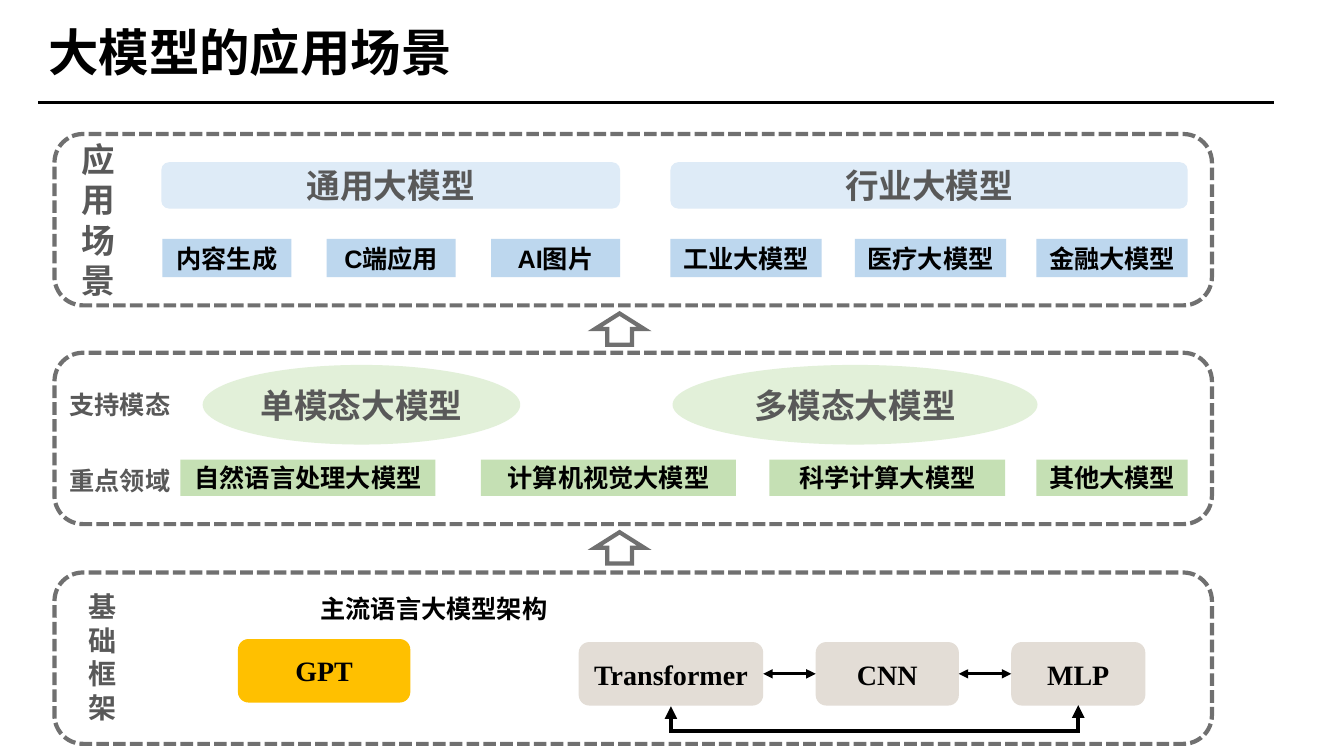
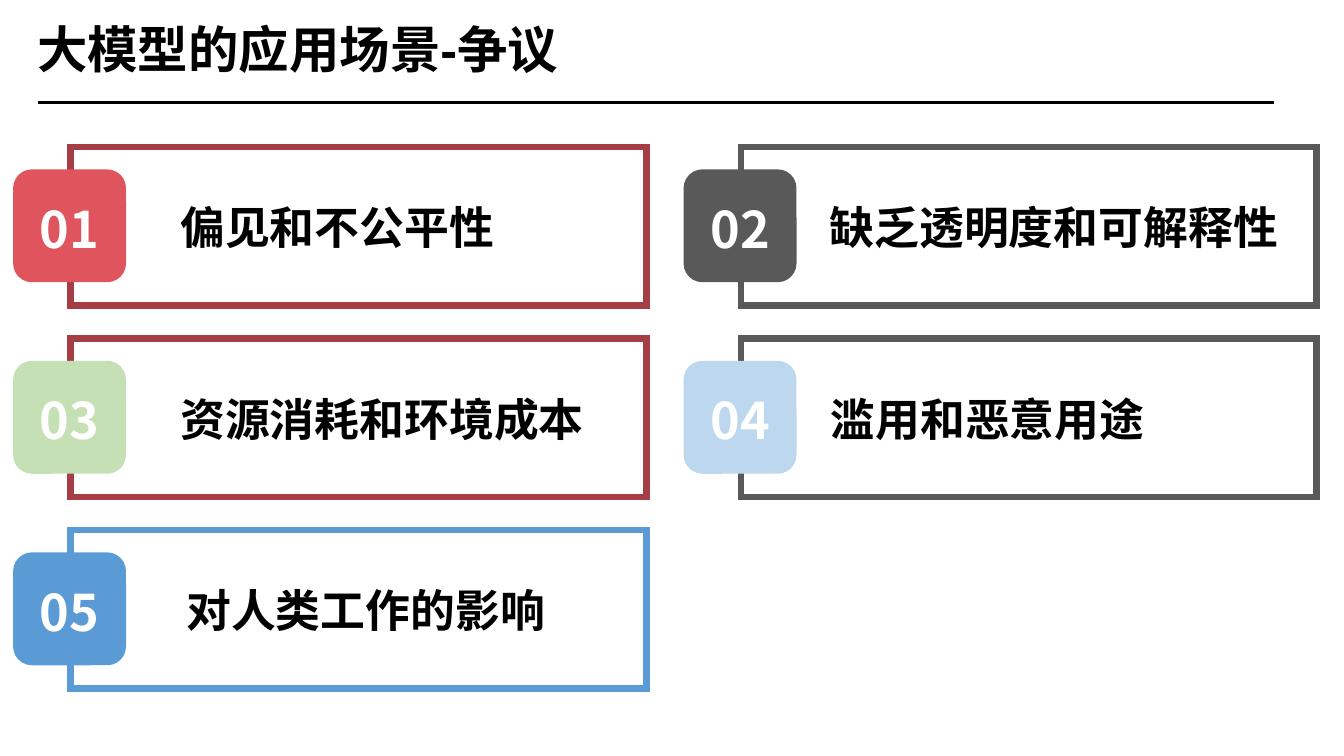
from dataclasses import dataclass
from itertools import pairwise

from lxml.etree import SubElement
from pptx import Presentation
from pptx.dml.color import RGBColor
from pptx.enum.dml import MSO_LINE
from pptx.enum.shapes import MSO_CONNECTOR, MSO_SHAPE
from pptx.enum.text import MSO_ANCHOR, PP_ALIGN
from pptx.oxml.ns import qn
from pptx.util import Pt

PX = 9144  # EMU per px, 100 px to the inch
BOTTOM, LEFT, RIGHT = 2, 1, 3  # connection sites


@dataclass(frozen=True)
class Theme:
    # Fonts
    sans: str = "Arial"
    serif: str = "Times New Roman"
    chinese: str = "Noto Sans CJK SC"
    # Colours
    black: str = "000000"
    white: str = "FFFFFF"
    grey: str = "595959"
    frame: str = "707070"
    pale_blue: str = "DEEBF7"
    light_blue: str = "BDD7EE"
    blue: str = "5B9BD5"
    pale_green: str = "E2F0D9"
    light_green: str = "C5E0B4"
    sand: str = "E3DDD6"
    gold: str = "FFC000"
    red: str = "E0545D"
    dark_red: str = "A63E45"
    # Type sizes
    title: int = 36
    card: int = 32
    heading: int = 24
    node: int = 20
    label: int = 18
    # Line widths
    rule: float = 2.25
    thick: float = 3
    border: float = 4.75


class SlideBuilder:
    def __init__(self, theme):
        self.theme = theme
        self.deck = Presentation()
        self.deck.slide_width = 1333 * PX
        self.deck.slide_height = 750 * PX
        self.page = None

    def new_page(self, title, x, y):
        """Start a page with its title and the rule below it."""
        theme = self.theme
        self.page = self.deck.slides.add_slide(self.deck.slide_layouts[6])
        self.line(38, 102, 1264, 102)
        self.text(title, x, y, 640, 71, theme.title)

    def set_text(self, box, text, size, color, font, align, anchor,
                 spacing=None, insets=(5, 5)):
        frame = box.text_frame
        frame.word_wrap = True
        frame.vertical_anchor = anchor
        frame.margin_left = frame.margin_right = 10 * PX
        frame.margin_top, frame.margin_bottom = (inset * PX for inset in insets)
        para = frame.paragraphs[0]
        para.text = text
        para.alignment = align
        if spacing:
            para.line_spacing = spacing
        para.font.size = Pt(size)
        para.font.bold = True
        para.font.name = font
        para.font.color.rgb = RGBColor.from_string(color)
        east_asian = SubElement(para.font._element, qn("a:ea"))
        east_asian.set("typeface", self.theme.chinese)

    def text(self, text, x, y, width, height, size, color=None, font=None,
             align=PP_ALIGN.LEFT, anchor=MSO_ANCHOR.TOP, **layout):
        box = self.page.shapes.add_textbox(x * PX, y * PX, width * PX, height * PX)
        self.set_text(box, text, size, color or self.theme.black,
                      font or self.theme.sans, align, anchor, **layout)

    def shape(self, kind, x, y, width, height, fill=None, line=None,
              weight=None, dash=None):
        shape = self.page.shapes.add_shape(
            kind, x * PX, y * PX, width * PX, height * PX)
        shape.shadow.inherit = False
        if fill:
            shape.fill.solid()
            shape.fill.fore_color.rgb = RGBColor.from_string(fill)
        else:
            shape.fill.background()
        if line:
            self.stroke(shape, line, weight, dash)
        else:
            shape.line.fill.background()
        return shape

    def stroke(self, shape, color, weight, dash=None):
        shape.line.color.rgb = RGBColor.from_string(color)
        shape.line.width = Pt(weight)
        if dash:
            shape.line.dash_style = dash
        outline = shape._element.spPr.find(qn("a:ln"))
        SubElement(outline, qn("a:miter")).set("lim", "800000")
        return outline

    def block(self, text, kind, x, y, width, height, fill, size,
              color=None, font=None, **layout):
        """A filled shape with centred text."""
        shape = self.shape(kind, x, y, width, height, fill)
        self.set_text(shape, text, size, color or self.theme.black,
                      font or self.theme.sans, PP_ALIGN.CENTER,
                      MSO_ANCHOR.MIDDLE, **layout)
        return shape

    def panel(self, y):
        self.shape(MSO_SHAPE.ROUNDED_RECTANGLE, 54, y, 1148, 170,
                   self.theme.white, self.theme.frame, self.theme.thick,
                   MSO_LINE.SQUARE_DOT)

    def side_label(self, text, x, y, width, height, size):
        self.text(text, x, y, width, height, size, self.theme.grey,
                  align=PP_ALIGN.CENTER)

    def line(self, x1=0, y1=0, x2=0, y2=0, kind=MSO_CONNECTOR.STRAIGHT,
             weight=None, arrows=False):
        line = self.page.shapes.add_connector(
            kind, x1 * PX, y1 * PX, x2 * PX, y2 * PX)
        outline = self.stroke(line, self.theme.black, weight or self.theme.rule)
        if arrows:
            for end in ("a:headEnd", "a:tailEnd"):
                SubElement(outline, qn(end)).set("type", "triangle")
        SubElement(line._element.spPr, qn("a:effectLst"))
        return line

    def link(self, first, second):
        """A double arrow between two neighbours."""
        line = self.line(arrows=True)
        line.begin_connect(first, RIGHT)
        line.end_connect(second, LEFT)

    def loop_below(self, first, second, drop):
        """A double arrow running below two blocks, from bottom to bottom."""
        line = self.line(kind=MSO_CONNECTOR.ELBOW, weight=self.theme.thick,
                         arrows=True)
        line.begin_connect(first, BOTTOM)
        line.end_connect(second, BOTTOM)
        start = first.left + first.width // 2
        span = second.left + second.width // 2 - start
        # A quarter turn lets the middle segment run horizontally
        line.left, line.width = start + (span - PX) // 2, PX
        line.top, line.height = first.top + first.height - span // 2, span
        properties = line._element.spPr
        properties.xfrm.set("rot", "16200000")
        properties.xfrm.set("flipH", "1")
        geometry = properties.find(qn("a:prstGeom"))
        values = geometry.find(qn("a:avLst"))
        if values is None:
            values = SubElement(geometry, qn("a:avLst"))
        guide = SubElement(values, qn("a:gd"))
        guide.set("name", "adj1")
        guide.set("fmla", f"val {drop * 100000}")

    def card(self, number, text, x, y, text_offset, badge_fill, border):
        theme = self.theme
        width = 571
        self.shape(MSO_SHAPE.RECTANGLE, x, y, width, 157,
                   line=border, weight=theme.border)
        self.block(f"{number:02}", MSO_SHAPE.ROUNDED_RECTANGLE, x - 57, y + 22,
                   112, 112, badge_fill, theme.title, theme.white,
                   theme.chinese, insets=(5, 0))
        self.text(text, x + text_offset, y + 31, width - text_offset, 85,
                  theme.card, anchor=MSO_ANCHOR.MIDDLE, spacing=1.3,
                  insets=(0, 5))


def scenarios_page(builder):
    theme = builder.theme
    builder.new_page("大模型的应用场景", 38, 16)
    for y in (133, 350, 568):
        builder.panel(y)
    for y in (311, 528):
        builder.shape(MSO_SHAPE.UP_ARROW, 590, y, 49, 31, theme.white,
                      theme.frame, theme.thick)

    # Headings and chips of the upper two panels: text, left, width
    rounded, oval, plain = (MSO_SHAPE.ROUNDED_RECTANGLE, MSO_SHAPE.OVAL,
                            MSO_SHAPE.RECTANGLE)
    heading, chip = (theme.heading, theme.grey), (theme.label, theme.black)
    rows = [
        (rounded, 161, 46, theme.pale_blue, heading,
         [("通用大模型", 160, 455), ("行业大模型", 665, 513)]),
        (plain, 237, 38, theme.light_blue, chip,
         [("内容生成", 161, 128), ("C端应用", 324, 128), ("AI图片", 487, 128),
          ("工业大模型", 665, 150), ("医疗大模型", 848, 150),
          ("金融大模型", 1028, 150)]),
        (oval, 362, 79, theme.pale_green, heading,
         [("单模态大模型", 201, 315), ("多模态大模型", 667, 362)]),
        (plain, 456, 36, theme.light_green, chip,
         [("自然语言处理大模型", 179, 253), ("计算机视觉大模型", 477, 253),
          ("科学计算大模型", 763, 234), ("其他大模型", 1028, 150)]),
    ]
    for kind, y, height, fill, (size, color), items in rows:
        for text, x, width in items:
            builder.block(text, kind, x, y, width, height, fill, size, color)

    # Labels at the left
    builder.side_label("应用场景", 66, 133, 63, 130, theme.heading)
    builder.side_label("支持模态", 58, 381, 122, 40, theme.label)
    builder.side_label("重点领域", 58, 457, 122, 40, theme.label)
    builder.side_label("基础框架", 76, 580, 52, 145, theme.node)

    # Architectures in the bottom panel
    builder.text("主流语言大模型架构", 308, 584, 248, 40, theme.label,
                 font=theme.chinese)
    builder.block("GPT", rounded, 236, 634, 171, 63, theme.gold, theme.node,
                  font=theme.serif)
    nodes = [
        builder.block(text, rounded, x, 637, width, 63, theme.sand, theme.node,
                      font=theme.serif)
        for text, x, width in [("Transformer", 574, 183), ("CNN", 809, 142),
                               ("MLP", 1003, 133)]
    ]
    for first, second in pairwise(nodes):
        builder.link(first, second)
    builder.loop_below(nodes[0], nodes[-1], 26)


def disputes_page(builder):
    theme = builder.theme
    builder.new_page("大模型的应用场景-争议", 27, 13)
    cards = [
        ("偏见和不公平性", 99, theme.red, theme.dark_red),
        ("缺乏透明度和可解释性", 78, theme.grey, theme.grey),
        ("资源消耗和环境成本", 99, theme.light_green, theme.dark_red),
        ("滥用和恶意用途", 79, theme.light_blue, theme.grey),
        ("对人类工作的影响", 105, theme.blue, theme.blue),
    ]
    for index, (text, text_offset, badge_fill, border) in enumerate(cards):
        row, column = divmod(index, 2)
        builder.card(index + 1, text, 70 + 665 * column, 146 + 190 * row,
                     text_offset, badge_fill, border)


def main():
    builder = SlideBuilder(Theme())
    scenarios_page(builder)
    disputes_page(builder)
    builder.deck.save("out.pptx")


if __name__ == "__main__":
    main()
